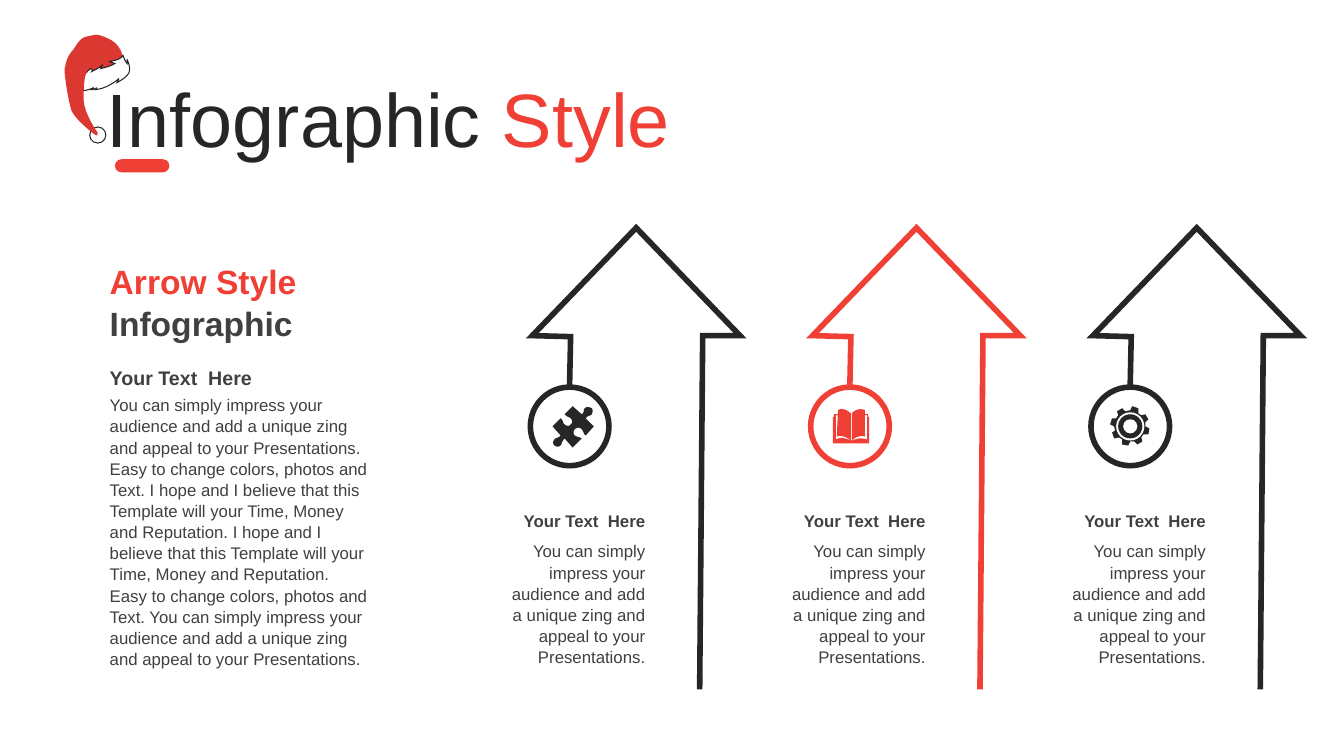
from pptx import Presentation
from pptx import util as u
from pptx.dml.color import RGBColor
from pptx.enum import shapes, text
from pptx.oxml import ns
from lxml import etree

DARK, RED, GREY, WHITE, HAT_RED = "262626", "F04036", "404040", "FFFFFF", "DC3832"
PITCH = 2.78  # distance from one arrow to the next
CURVE_STEPS = 6

ARROW = [(5.65, 3.82), (5.66, 3.34), (5.28, 3.33), (6.31, 2.26),
         (7.34, 3.33), (6.97, 3.33), (6.94, 6.84)]
HAT_CROWN = """M .69 .73 C .68 .72 .66 .71 .65 .7 C .64 .62 .68 .54 .73 .49
C .77 .43 .8 .37 .87 .36 C .94 .35 .94 .33 1.02 .36 C 1.11 .39 1.19 .44 1.22 .56
C 1.17 .61 1.11 .66 1.05 .71 C .98 .71 .89 .71 .83 .72 C .78 .72 .75 .72 .69 .73 Z"""
HAT_BRIM = """M 1.26 .59 C 1.26 .61 1.26 .63 1.26 .63 C 1.25 .62 1.25 .61 1.24 .6
L 1.22 .55 C 1.2 .6 1.08 .61 1.08 .61 L 1.14 .63 C 1.1 .66 1 .68 1 .68
L 1.02 .64 C 1 .67 .91 .71 .91 .71 C .93 .69 .9 .68 .9 .68 L .84 .73
C .87 .72 .87 .7 .87 .7 C .87 .7 .81 .73 .75 .73 C .69 .74 .68 .7 .68 .7
C .66 .74 .69 .79 .69 .79 L .67 .78 C .69 .82 .74 .88 .74 .88 L .72 .87 L .74 .9
L .77 .9 L .79 .91 L .78 .9 C .85 .91 .93 .87 .93 .87 L .91 .89
C .94 .89 .96 .87 .96 .87 L .95 .89 C 1.07 .88 1.18 .78 1.18 .78 L 1.16 .82
C 1.16 .82 1.26 .77 1.28 .72 C 1.3 .66 1.26 .59 1.26 .59 Z"""
HAT_TAIL = """M .92 1.32 C .92 1.32 .75 1.19 .71 1.1 C .68 1.01 .64 .77 .64 .68
C .65 .58 .87 .47 .91 .48 C .96 .48 .89 .66 .86 .72 C .83 .77 .83 .9 .83 .99
C .83 1.09 .91 1.23 .97 1.32 C .96 1.33 .98 1.37 .92 1.32 Z"""
PUZZLE = """M 5.87 4.05 C 5.88 4.06 5.88 4.09 5.87 4.11 C 5.85 4.13 5.83 4.12 5.81 4.15
L 5.89 4.23 L 5.81 4.32 C 5.78 4.3 5.79 4.27 5.76 4.25 C 5.74 4.24 5.72 4.24 5.7 4.26
C 5.69 4.27 5.68 4.3 5.7 4.32 C 5.73 4.34 5.74 4.33 5.77 4.35 L 5.68 4.44 L 5.6 4.35
C 5.57 4.38 5.58 4.39 5.56 4.42 C 5.54 4.44 5.51 4.43 5.5 4.42 C 5.48 4.4 5.48 4.38 5.5 4.36
C 5.51 4.34 5.54 4.35 5.56 4.32 L 5.48 4.23 L 5.56 4.15 C 5.59 4.17 5.58 4.2 5.6 4.21
C 5.62 4.23 5.65 4.23 5.66 4.21 C 5.68 4.2 5.68 4.17 5.66 4.15 C 5.63 4.13 5.63 4.14 5.6 4.11
L 5.68 4.03 L 5.77 4.11 C 5.8 4.09 5.78 4.08 5.8 4.05 C 5.82 4.03 5.85 4.04 5.87 4.05 Z"""
BOOK = """M 8.44 4.37 L 8.45 4.37 C 8.51 4.35 8.53 4.34 8.6 4.36 L 8.6 4.12 L 8.58 4.12
L 8.58 4.33 C 8.54 4.32 8.49 4.33 8.45 4.37 L 8.45 4.1 C 8.47 4.08 8.5 4.06 8.53 4.06
C 8.55 4.06 8.56 4.06 8.58 4.07 L 8.58 4.11 L 8.61 4.11 L 8.61 4.14 L 8.62 4.14
L 8.62 4.4 L 8.26 4.4 L 8.26 4.14 L 8.27 4.14 L 8.27 4.11 L 8.31 4.11 L 8.31 4.07
C 8.32 4.06 8.34 4.06 8.36 4.06 C 8.39 4.06 8.41 4.08 8.44 4.1 L 8.44 4.37
C 8.39 4.33 8.35 4.32 8.3 4.33 L 8.31 4.12 L 8.29 4.12 L 8.29 4.36
C 8.35 4.33 8.38 4.35 8.44 4.37 Z"""
GEAR = """M 11.29 4.05 L 11.29 4.1 L 11.32 4.12 L 11.36 4.11 L 11.39 4.16 L 11.36 4.19
L 11.36 4.23 L 11.4 4.25 L 11.39 4.31 L 11.34 4.31 L 11.32 4.34 L 11.33 4.38 L 11.28 4.41
L 11.25 4.38 L 11.21 4.38 L 11.19 4.42 L 11.13 4.41 L 11.13 4.36 L 11.1 4.34 L 11.05 4.35
L 11.03 4.29 L 11.06 4.27 L 11.05 4.23 L 11.01 4.21 L 11.03 4.15 L 11.07 4.15 L 11.09 4.12
L 11.08 4.08 L 11.13 4.05 L 11.16 4.08 L 11.21 4.07 L 11.23 4.03 Z"""

LABEL = "Your Text  Here"
IMPRESS = ("You can simply impress your audience and add a unique zing "
           "and appeal to your Presentations.")
EASY = "Easy to change colors, photos and Text."
HOPE = "I hope and I believe that this Template will your Time, Money and Reputation."


def rgb(value):
    return RGBColor.from_string(value)


def trace(outline):
    """Turn an outline of M, L, C and Z commands into points, sampling its curves."""
    points, tokens = [], iter(outline.split())

    def point():
        return float(next(tokens)), float(next(tokens))

    for command in tokens:
        if command in "ML":
            points.append(point())
        elif command == "C":
            a, b, c, d = points[-1], point(), point(), point()
            for step in range(1, CURVE_STEPS + 1):
                t = step / CURVE_STEPS
                v = 1 - t
                points.append(tuple(
                    v**3 * a[i] + 3 * v * v * t * b[i] + 3 * v * t * t * c[i] + t**3 * d[i]
                    for i in (0, 1)))
    return points


class Deck:
    font = "Arial"
    line_spacing = 1.05

    def __init__(self, prs):
        self.s = prs.slides.add_slide(prs.slide_layouts[5])

    def paint(self, sp, fill, line, width):
        sp.shadow.inherit = False
        if fill:
            sp.fill.solid()
            sp.fill.fore_color.rgb = rgb(fill)
        else:
            sp.fill.background()
        if line:
            sp.line.color.rgb = rgb(line)
            sp.line.width = u.Pt(width)
            ln = sp._element.spPr.find(ns.qn("a:ln"))
            etree.SubElement(ln, ns.qn("a:miter"), lim="800000")
        else:
            sp.line.fill.background()
        return sp

    def shape(self, kind, x, y, w, h, fill, line=None, width=0.75):
        sp = self.s.shapes.add_shape(kind, u.Inches(x), u.Inches(y), u.Inches(w), u.Inches(h))
        return self.paint(sp, fill, line, width)

    def circle(self, cx, cy, radius, fill, line=None, width=0.75):
        self.shape(shapes.MSO_SHAPE.OVAL, cx - radius, cy - radius,
                   2 * radius, 2 * radius, fill, line, width)

    def freeform(self, points, fill=None, line=None, width=0.75, close=True):
        start, *rest = [(u.Inches(x), u.Inches(y)) for x, y in points]
        builder = self.s.shapes.build_freeform(*start)
        builder.add_line_segments(rest, close=close)
        self.paint(builder.convert_to_shape(), fill, line, width)

    def fill_text(self, sp, runs, size, bold, align):
        """Put one paragraph of (words, color) runs into a shape and return it."""
        tf = sp.text_frame
        tf.word_wrap = True
        tf.auto_size = text.MSO_AUTO_SIZE.NONE
        p = tf.paragraphs[0]
        p.alignment = align
        p.font.name, p.font.size, p.font.bold = self.font, u.Pt(size), bold
        for words, color in runs:
            r = p.add_run()
            r.text = words
            r.font.color.rgb = rgb(color)
        return p

    def title(self, x, y, w, h, runs, size):
        sp = self.s.shapes.title
        sp.left, sp.top, sp.width, sp.height = map(u.Inches, (x, y, w, h))
        sp.text_frame.vertical_anchor = text.MSO_ANCHOR.MIDDLE
        self.fill_text(sp, runs, size, False, text.PP_ALIGN.LEFT)

    def text(self, x, y, w, h, runs, size=12, bold=False, align=text.PP_ALIGN.LEFT):
        sp = self.s.shapes.add_textbox(u.Inches(x), u.Inches(y), u.Inches(w), u.Inches(h))
        self.fill_text(sp, runs, size, bold, align).line_spacing = self.line_spacing


def main():
    prs = Presentation()
    prs.slide_width, prs.slide_height = u.Inches(13.33), u.Inches(7.5)
    deck = Deck(prs)

    deck.title(0.96, 0.66, 6.77, 1.01, [("Infographic", DARK), (" Style", RED)], 54)
    deck.freeform(trace(HAT_CROWN), HAT_RED)
    deck.circle(0.97, 1.34, 0.08, WHITE, DARK)
    deck.freeform(trace(HAT_BRIM), WHITE, DARK)
    deck.freeform(trace(HAT_TAIL), HAT_RED)
    underline = deck.shape(shapes.MSO_SHAPE.ROUNDED_RECTANGLE, 1.14, 1.58, 0.54, 0.13, RED)
    underline.adjustments[0] = 0.5

    right = text.PP_ALIGN.RIGHT
    for i, (color, icon) in enumerate([(DARK, PUZZLE), (RED, BOOK), (DARK, GEAR)]):
        dx = i * PITCH
        deck.freeform([(x + dx, y) for x, y in ARROW], line=color, width=4, close=False)
        deck.circle(5.65 + dx, 4.23, 0.39, WHITE, color, 4)
        deck.freeform(trace(icon), color)
        deck.text(4.87 + dx, 5.31, 1.63, 1.31, [(IMPRESS, GREY)], align=right)
        deck.text(4.87 + dx, 5.01, 1.63, 0.3, [(LABEL, GREY)], bold=True, align=right)
    for radius, fill in [(0.14, WHITE), (0.12, DARK), (0.07, WHITE)]:
        deck.circle(11.21, 4.23, radius, fill)

    deck.text(0.99, 2.52, 2.76, 0.91, [("Arrow Style ", RED), ("Infographic", GREY)], 24, True)
    deck.text(0.99, 3.57, 2.54, 0.34, [(LABEL, GREY)], 14, True)
    body = " ".join([IMPRESS, EASY, HOPE, HOPE, EASY, IMPRESS])
    deck.text(0.99, 3.86, 2.76, 2.73, [(body, GREY)])
    prs.save("out.pptx")


if __name__ == "__main__":
    main()
